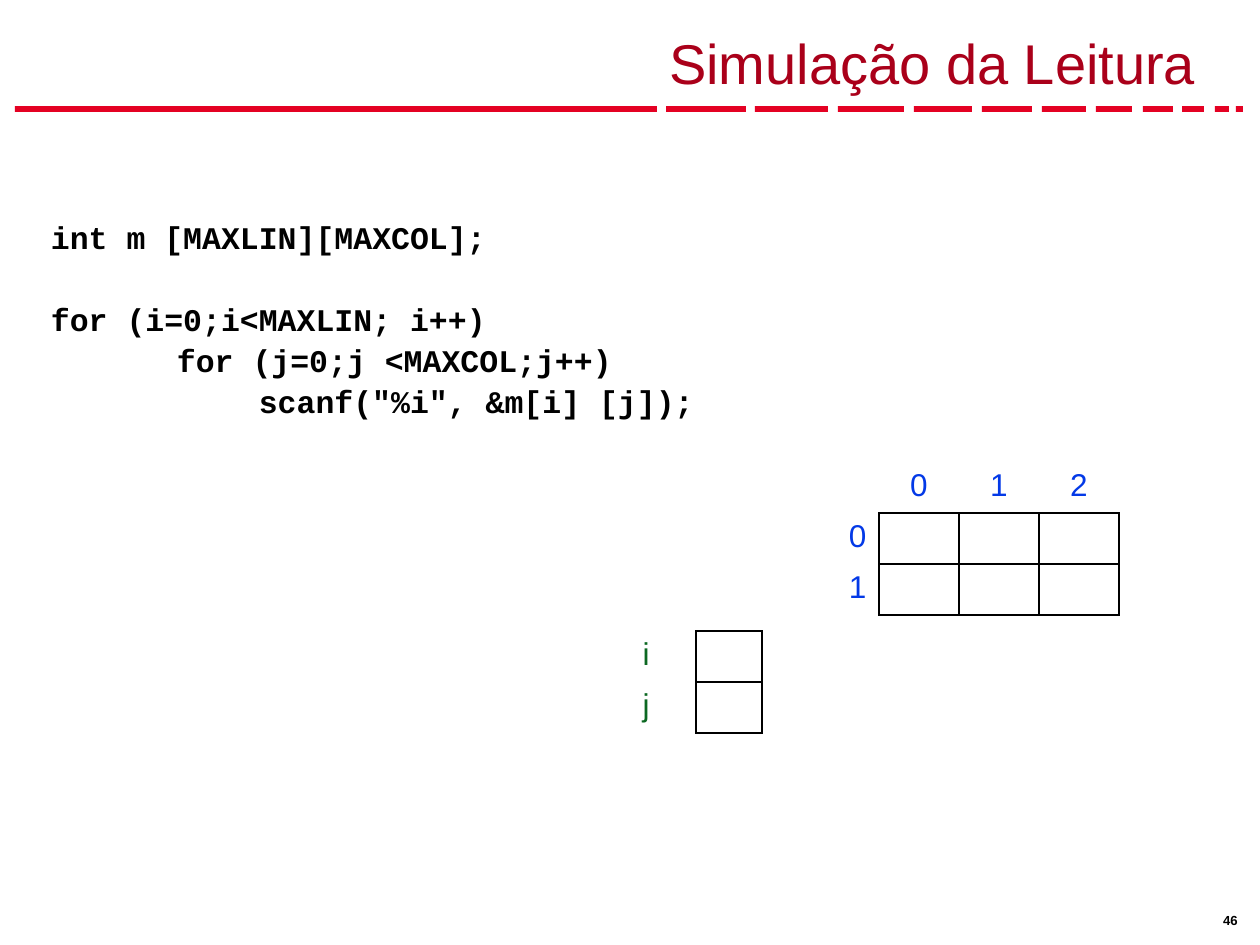
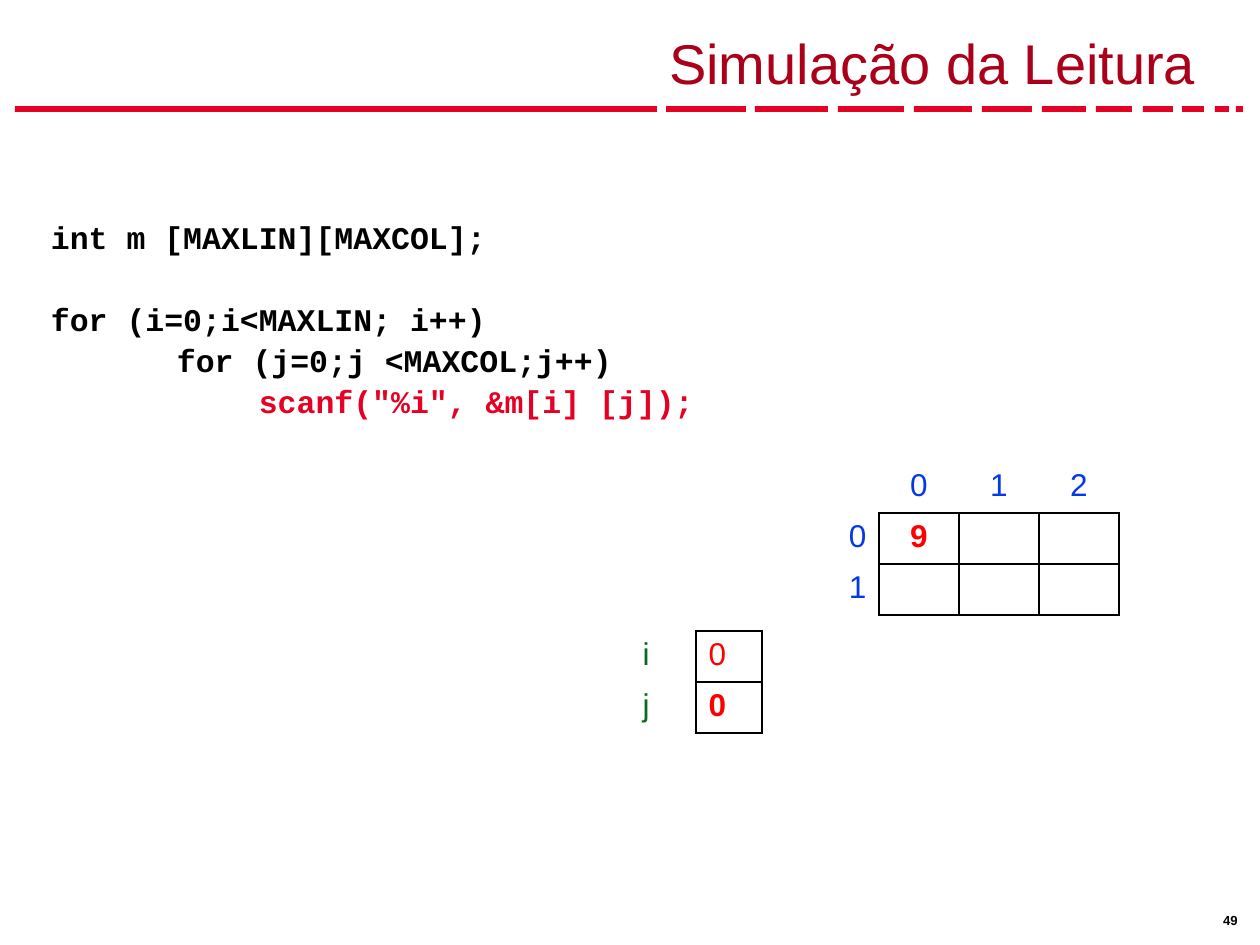
from dataclasses import dataclass

from lxml.etree import SubElement
from pptx import Presentation
from pptx.dml.color import RGBColor
from pptx.enum.shapes import MSO_SHAPE
from pptx.enum.text import MSO_ANCHOR, PP_ALIGN
from pptx.oxml.ns import qn
from pptx.util import Emu, Pt

EMU_PER_PX = 914400 / 126

WHITE = RGBColor(0xFF, 0xFF, 0xFF)
BLACK = RGBColor(0x00, 0x00, 0x00)
BAND_RED = RGBColor(0xE4, 0x01, 0x23)
TITLE_RED = RGBColor(0xAA, 0x00, 0x1A)
VALUE_RED = RGBColor(0xFF, 0x00, 0x00)
INDEX_BLUE = RGBColor(0x03, 0x39, 0xE7)
VARIABLE_GREEN = RGBColor(0x0C, 0x68, 0x22)

TITLE = "Simulação da Leitura"
CODE = [
    "int m [MAXLIN][MAXCOL];",
    "for (i=0;i<MAXLIN; i++)",
    "      \tfor (j=0;j <MAXCOL;j++)",
    "         \t scanf(\"%i\", &m[i] [j]);",
]
CODE_LINE = 41
LOOP_START = 1
SCANF = 3

# Left edge and width of each dash in the band under the title
BAND_DASHES = [
    (15, 642), (666, 80), (755, 73), (838, 66), (914, 58), (982, 50),
    (1042, 44), (1096, 36), (1143, 30), (1182, 22), (1215, 14), (1236, 7),
]


@dataclass(frozen=True)
class Box:
    left: int
    top: int
    width: int
    height: int

    def emu(self) -> list[Emu]:
        return [px(v) for v in (self.left, self.top, self.width, self.height)]


@dataclass(frozen=True)
class Style:
    size: float
    color: RGBColor
    bold: bool = False
    font: str = "Arial"


@dataclass(frozen=True)
class Cell:
    text: str = ""
    color: RGBColor = VALUE_RED
    bold: bool = False
    align: PP_ALIGN = PP_ALIGN.LEFT
    boxed: bool = False


@dataclass(frozen=True)
class Step:
    """One moment of the simulated reading."""
    number: int
    i: str = ""
    j: str = ""
    first_value: str = ""
    active_line: int | None = None


STEPS = [
    Step(46),
    Step(49, i="0", j="0", first_value="9", active_line=SCANF),
]


def px(value: int) -> Emu:
    return Emu(round(value * EMU_PER_PX))


def style_paragraph(p, style: Style) -> None:
    for r in p.runs:
        r.font.name = style.font
        r.font.size = Pt(style.size)
        r.font.bold = style.bold
        r.font.color.rgb = style.color


def add_text(s, box: Box, lines: list[str], style: Style, margins=(13, 6)):
    tf = s.shapes.add_textbox(*box.emu()).text_frame
    tf.word_wrap = True
    tf.margin_left = tf.margin_right = px(margins[0])
    tf.margin_top = tf.margin_bottom = px(margins[1])
    tf.text = "\n".join(lines)
    for p in tf.paragraphs:
        style_paragraph(p, style)
    return tf


def add_frame(s, number: int) -> None:
    """Draw the title, dashed band and page number shared by all slides."""
    for left, width in BAND_DASHES:
        sp = s.shapes.add_shape(MSO_SHAPE.RECTANGLE,
                                *Box(left, 106, width, 6).emu())
        sp.shadow.inherit = False
        sp.fill.solid()
        sp.fill.fore_color.rgb = BAND_RED
        sp.line.fill.background()
    tf = add_text(s, Box(39, 10, 1170, 92), [TITLE], Style(32, TITLE_RED))
    tf.vertical_anchor = MSO_ANCHOR.BOTTOM
    tf.paragraphs[0].alignment = PP_ALIGN.RIGHT
    add_text(s, Box(1213, 907, 42, 25), [str(number)],
             Style(7.5, BLACK, bold=True), margins=(10, 5))


def add_code(s, active_line: int | None) -> None:
    style = Style(18, BLACK, bold=True, font="Courier New")
    tf = add_text(s, Box(39, 215, 791, 5 * CODE_LINE), CODE, style, (12, 0))
    for p in tf.paragraphs:
        p.line_spacing = px(CODE_LINE)
    tf.paragraphs[LOOP_START].space_before = px(CODE_LINE)
    if active_line is not None:
        for r in tf.paragraphs[active_line].runs:
            r.font.color.rgb = BAND_RED


def set_border(cell, side: str, visible: bool) -> None:
    ln = SubElement(cell._tc.get_or_add_tcPr(), qn(f"a:ln{side}"),
                    w=str(int(Pt(1))))
    if visible:
        fill = SubElement(ln, qn("a:solidFill"))
        SubElement(fill, qn("a:srgbClr"), val=str(BLACK))
    else:
        SubElement(ln, qn("a:noFill"))


def add_grid(s, left: int, top: int, col_width: int, row_height: int,
             rows: list[list[Cell]]) -> None:
    """Draw a table where an edge shows if a cell on either side is boxed."""
    n_rows, n_cols = len(rows), len(rows[0])
    box = Box(left, top, col_width * n_cols, row_height * n_rows)
    table = s.shapes.add_table(n_rows, n_cols, *box.emu()).table
    table.first_row = table.horz_banding = False

    def boxed(r: int, c: int) -> bool:
        return 0 <= r < n_rows and 0 <= c < n_cols and rows[r][c].boxed

    sides = {"L": (0, -1), "R": (0, 1), "T": (-1, 0), "B": (1, 0)}
    for r, row in enumerate(rows):
        for c, content in enumerate(row):
            cell = table.cell(r, c)
            for side, (dr, dc) in sides.items():
                set_border(cell, side, content.boxed or boxed(r + dr, c + dc))
            cell.fill.solid()
            cell.fill.fore_color.rgb = WHITE
            if content.text:
                p = cell.text_frame.paragraphs[0]
                p.text = content.text
                p.alignment = content.align
                style_paragraph(p, Style(18, content.color, content.bold))


def add_matrix(s, first_value: str) -> None:
    values = [[first_value, "", ""], ["", "", ""]]
    rows = [[Cell()] + [Cell(str(c), INDEX_BLUE, align=PP_ALIGN.CENTER)
                        for c in range(3)]]
    for i, line in enumerate(values):
        rows.append([Cell(str(i), INDEX_BLUE, align=PP_ALIGN.RIGHT)]
                    + [Cell(v, bold=True, align=PP_ALIGN.CENTER, boxed=True)
                       for v in line])
    add_grid(s, 799, 462, 80, 51, rows)


def add_counters(s, i: str, j: str) -> None:
    add_grid(s, 630, 631, 66, 51, [
        [Cell("i", VARIABLE_GREEN), Cell(i, boxed=True)],
        [Cell("j", VARIABLE_GREEN), Cell(j, bold=True, boxed=True)],
    ])


def main() -> None:
    prs = Presentation()
    prs.slide_width, prs.slide_height = px(1260), px(945)
    for step in STEPS:
        s = prs.slides.add_slide(prs.slide_layouts[6])
        add_frame(s, step.number)
        add_code(s, step.active_line)
        add_matrix(s, step.first_value)
        add_counters(s, step.i, step.j)
    prs.save("out.pptx")


if __name__ == "__main__":
    main()
